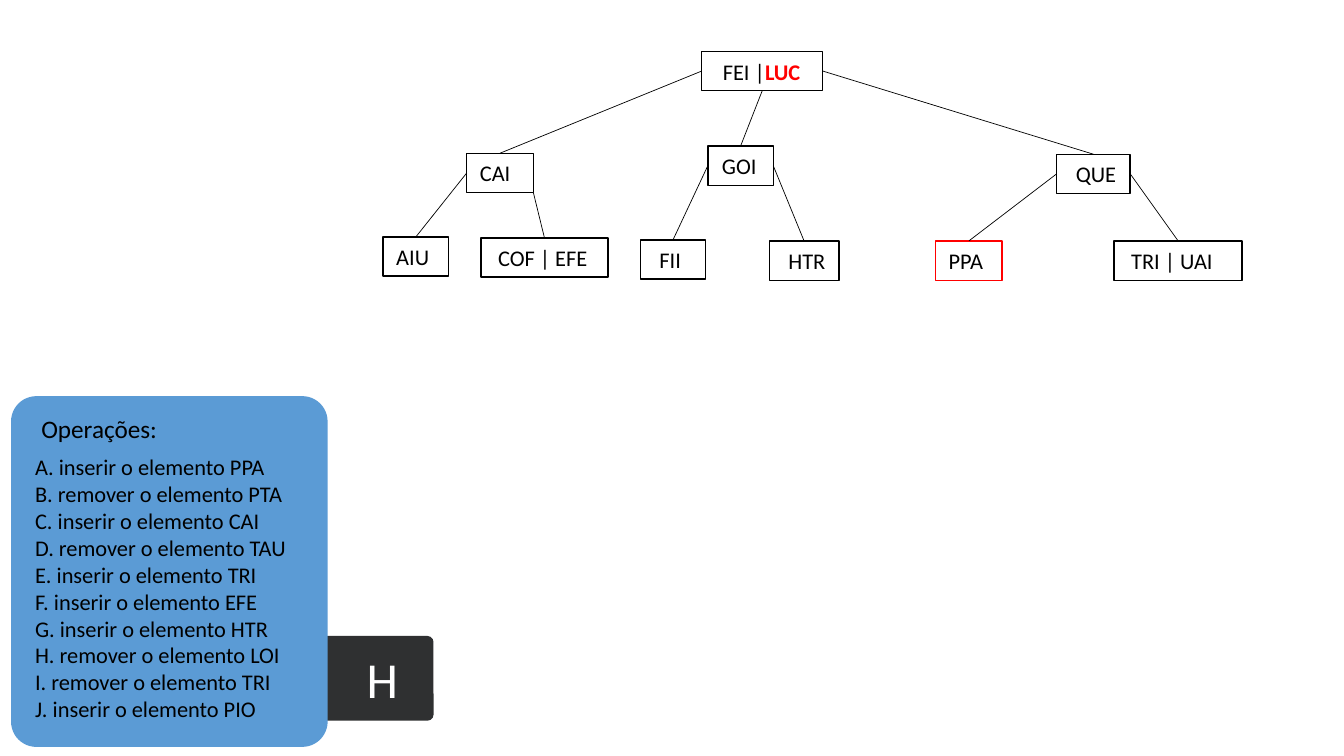
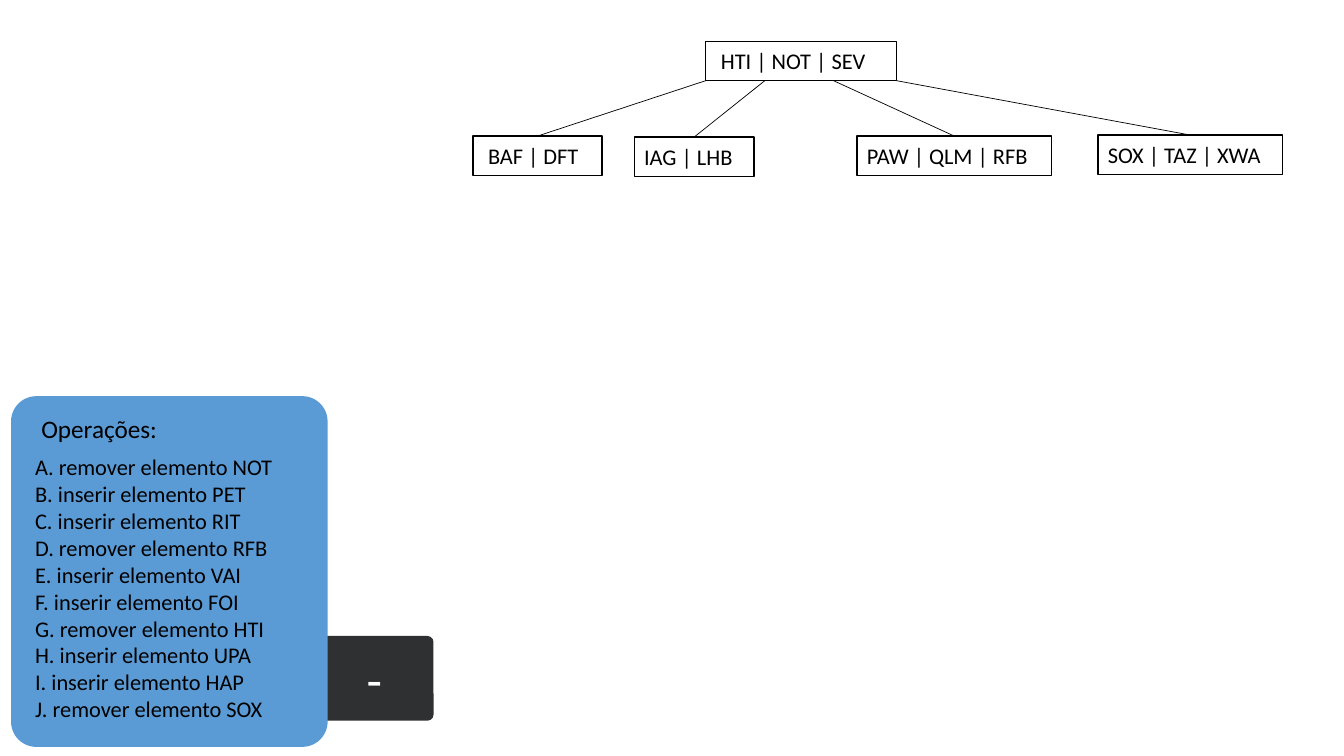
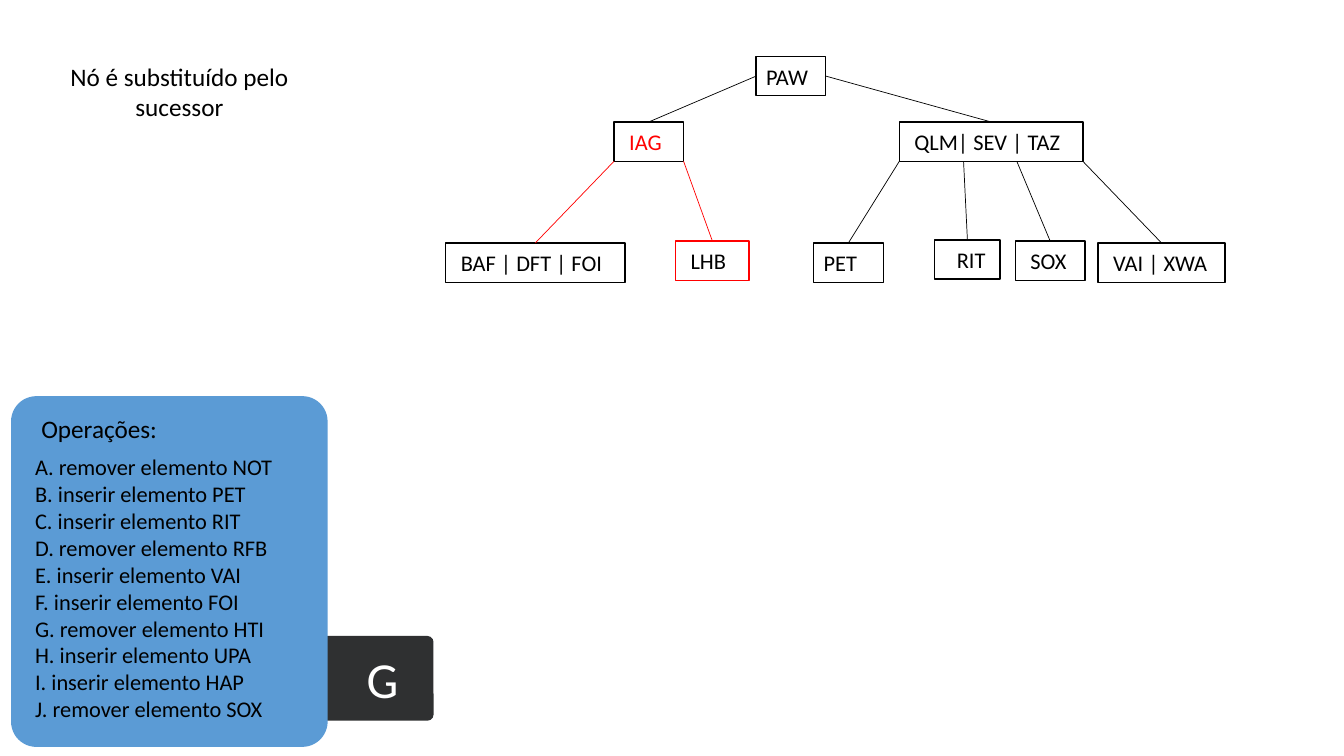
"""Build three slides that show B-tree states beside a panel of operations."""
from dataclasses import dataclass

from lxml import etree
from pptx import Presentation
from pptx.dml.color import RGBColor
from pptx.enum.shapes import MSO_CONNECTOR, MSO_SHAPE
from pptx.enum.text import MSO_ANCHOR, PP_ALIGN
from pptx.oxml.ns import qn
from pptx.util import Inches, Pt

RECTANGLE, ROUNDED = MSO_SHAPE.RECTANGLE, MSO_SHAPE.ROUNDED_RECTANGLE
STRAIGHT = MSO_CONNECTOR.STRAIGHT
TOP, MIDDLE = MSO_ANCHOR.TOP, MSO_ANCHOR.MIDDLE
LEFT, CENTER = PP_ALIGN.LEFT, PP_ALIGN.CENTER

BLACK, WHITE, RED = "000000", "FFFFFF", "FF0000"
BLUE, CHARCOAL = "5B9BD5", "2F3031"
FONT = "Calibri"
TITLE_ONLY = 5
NODE_HEIGHT = 0.39
LEFT_SIDE, RIGHT_SIDE, BOTTOM = (0, 0.5), (1, 0.5), (0.5, 1)
LEFT_CORNER, RIGHT_CORNER = (0, 1), (1, 1)
TOP_SITE = 0
SITES = {LEFT_SIDE: 1, BOTTOM: 2, RIGHT_SIDE: 3}


@dataclass
class Node:
    """A tree node, its place in inches and the branch from its parent."""

    text: str
    left: float
    top: float
    width: float
    inset: float
    parent: str = ""
    anchor: tuple = ()
    outline: str = BLACK
    branch: str = BLACK
    color: str = BLACK
    accent: str = ""


FIRST_OPERATIONS = [
    "A. inserir o elemento PPA",
    "B. remover o elemento PTA",
    "C. inserir o elemento CAI",
    "D. remover o elemento TAU",
    "E. inserir o elemento TRI",
    "F. inserir o elemento EFE",
    "G. inserir o elemento HTR",
    "H. remover o elemento LOI",
    "I. remover o elemento TRI",
    "J. inserir o elemento PIO",
]
SECOND_OPERATIONS = [
    "A. remover elemento NOT",
    "B. inserir elemento PET",
    "C. inserir elemento RIT",
    "D. remover elemento RFB",
    "E. inserir elemento VAI",
    "F. inserir elemento FOI",
    "G. remover elemento HTI",
    "H. inserir elemento UPA",
    "I. inserir elemento HAP",
    "J. remover elemento SOX",
]

FIRST_TREE = [
    Node("FEI |", 6.96, 0.51, 1.2, 0.21, accent="LUC"),
    Node("CAI", 4.63, 1.52, 0.66, 0.13, "FEI |", LEFT_SIDE),
    Node("GOI", 7.02, 1.45, 0.65, 0.14, "FEI |", BOTTOM),
    Node("QUE", 10.48, 1.53, 0.73, 0.19, "FEI |", RIGHT_SIDE),
    Node("AIU", 3.8, 2.35, 0.65, 0.13, "CAI", LEFT_SIDE),
    Node("COF | EFE", 4.77, 2.36, 1.26, 0.17, "CAI", RIGHT_CORNER),
    Node("FII", 6.35, 2.38, 0.65, 0.19, "GOI", LEFT_SIDE),
    Node("HTR", 7.63, 2.39, 0.69, 0.19, "GOI", RIGHT_SIDE),
    Node("PPA", 9.28, 2.39, 0.66, 0.13, "QUE", LEFT_SIDE, outline=RED),
    Node("TRI | UAI", 11.05, 2.39, 1.27, 0.17, "QUE", RIGHT_SIDE),
]
SECOND_TREE = [
    Node("HTI | NOT | SEV", 7, 0.41, 1.89, 0.15),
    Node("BAF | DFT", 4.69, 1.35, 1.28, 0.15, "HTI | NOT | SEV", LEFT_CORNER),
    Node("IAG | LHB", 6.29, 1.36, 1.19, 0.1, "HTI | NOT | SEV", (0.31, 1)),
    Node("PAW | QLM | RFB", 8.5, 1.35, 1.93, 0.1, "HTI | NOT | SEV", (0.67, 1)),
    Node("SOX | TAZ | XWA", 10.89, 1.34, 1.83, 0.1, "HTI | NOT | SEV", RIGHT_CORNER),
]
THIRD_TREE = [
    Node("PAW", 7.5, 0.56, 0.69, 0.1),
    Node("IAG", 6.09, 1.21, 0.69, 0.15, "PAW", LEFT_SIDE, color=RED),
    Node("QLM| SEV | TAZ", 8.92, 1.21, 1.82, 0.15, "PAW", RIGHT_SIDE),
    Node("BAF | DFT | FOI", 4.42, 2.41, 1.78, 0.15, "IAG", LEFT_CORNER, branch=RED),
    Node("LHB", 6.7, 2.39, 0.73, 0.15, "IAG", RIGHT_CORNER, outline=RED, branch=RED),
    Node("PET", 8.07, 2.41, 0.69, 0.1, "QLM| SEV | TAZ", LEFT_CORNER),
    Node("RIT", 9.27, 2.38, 0.65, 0.22, "QLM| SEV | TAZ", (0.35, 1)),
    Node("SOX", 10.07, 2.39, 0.69, 0.15, "QLM| SEV | TAZ", (0.64, 1)),
    Node("VAI | XWA", 10.89, 2.41, 1.26, 0.15, "QLM| SEV | TAZ", RIGHT_CORNER),
]

SLIDES = [
    {"step": "H", "operations": FIRST_OPERATIONS, "tree": FIRST_TREE, "note": []},
    {"step": "-", "operations": SECOND_OPERATIONS, "tree": SECOND_TREE, "note": []},
    {"step": "G", "operations": SECOND_OPERATIONS, "tree": THIRD_TREE,
     "note": ["Nó é substituído pelo", "sucessor"]},
]


def rgb(value):
    """Turn a hex string into a colour."""
    return RGBColor.from_string(value)


def set_text(shape, lines, size, color=BLACK, align=LEFT, anchor=TOP, inset=0.1):
    """Write lines into a shape and format them."""
    frame = shape.text_frame
    frame.text = "\n".join(lines)
    frame.word_wrap = True
    frame.vertical_anchor = anchor
    frame.margin_left = Inches(inset)
    frame.margin_right = 0
    frame.margin_top = frame.margin_bottom = Inches(0.05)
    for paragraph in frame.paragraphs:
        paragraph.alignment = align
        paragraph.font.name = FONT
        paragraph.font.size = Pt(size)
        paragraph.font.color.rgb = rgb(color)


def add_box(slide, preset, place, fill, outline=None):
    """Add a filled preset shape without a shadow."""
    shape = slide.shapes.add_shape(preset, *map(Inches, place))
    shape.shadow.inherit = False
    shape.fill.solid()
    shape.fill.fore_color.rgb = rgb(fill)
    if outline:
        shape.line.color.rgb = rgb(outline)
        shape.line.width = Pt(1)
    else:
        shape.line.fill.background()
    return shape


def add_panel(slide, step, operations):
    """Add the step tag and the operations card with its title."""
    tag = add_box(slide, ROUNDED, (2.93, 6.31, 1.37, 0.84), CHARCOAL)
    tag.adjustments[0] = 0.07
    set_text(tag, [step], 36, WHITE, anchor=MIDDLE, inset=0.69)
    card = add_box(slide, ROUNDED, (0.11, 3.93, 3.14, 3.48), BLUE)
    card.adjustments[0] = 0.08
    listing = slide.shapes.add_textbox(*map(Inches, (0.25, 4.45, 2.87, 2.79)))
    set_text(listing, operations, 16)
    title = slide.shapes.title
    title.left, title.top, title.width, title.height = map(Inches, (0.25, 4.05, 2.78, 0.4))
    set_text(title, ["Operações:"], 18, inset=0.16)
    title.element.getparent().append(title.element)


def add_node(slide, node):
    """Add one tree node with its keys."""
    place = (node.left, node.top, node.width, NODE_HEIGHT)
    shape = add_box(slide, RECTANGLE, place, WHITE, node.outline)
    set_text(shape, [node.text], 16, node.color, anchor=MIDDLE, inset=node.inset)
    if node.accent:
        run = shape.text_frame.paragraphs[0].add_run()
        run.text = node.accent
        run.font.bold = True
        run.font.color.rgb = rgb(RED)
    return shape


def add_branch(slide, parent, child, node):
    """Join a share point of the parent to the top centre of the child."""
    share_x, share_y = node.anchor
    start_x = parent.left + int(share_x * parent.width)
    start_y = parent.top + int(share_y * parent.height)
    line = slide.shapes.add_connector(
        STRAIGHT, start_x, start_y, child.left + child.width // 2, child.top)
    if node.anchor in SITES:
        line.begin_connect(parent, SITES[node.anchor])
    line.end_connect(child, TOP_SITE)
    line.line.color.rgb = rgb(node.branch)
    line.line.width = Pt(0.5)
    etree.SubElement(line.element.spPr, qn("a:effectLst"))


def add_tree(slide, tree):
    """Add all nodes, then the branches between them."""
    shapes = {node.text: add_node(slide, node) for node in tree}
    for node in tree:
        if node.parent:
            add_branch(slide, shapes[node.parent], shapes[node.text], node)


def main():
    """Build and save the presentation."""
    presentation = Presentation()
    presentation.slide_width = Inches(13.33)
    presentation.slide_height = Inches(7.5)
    for content in SLIDES:
        slide = presentation.slides.add_slide(presentation.slide_layouts[TITLE_ONLY])
        add_panel(slide, content["step"], content["operations"])
        add_tree(slide, content["tree"])
        if content["note"]:
            note = slide.shapes.add_textbox(*map(Inches, (0.34, 0.56, 2.78, 0.71)))
            set_text(note, content["note"], 18, align=CENTER)
    presentation.save("out.pptx")


if __name__ == "__main__":
    main()
